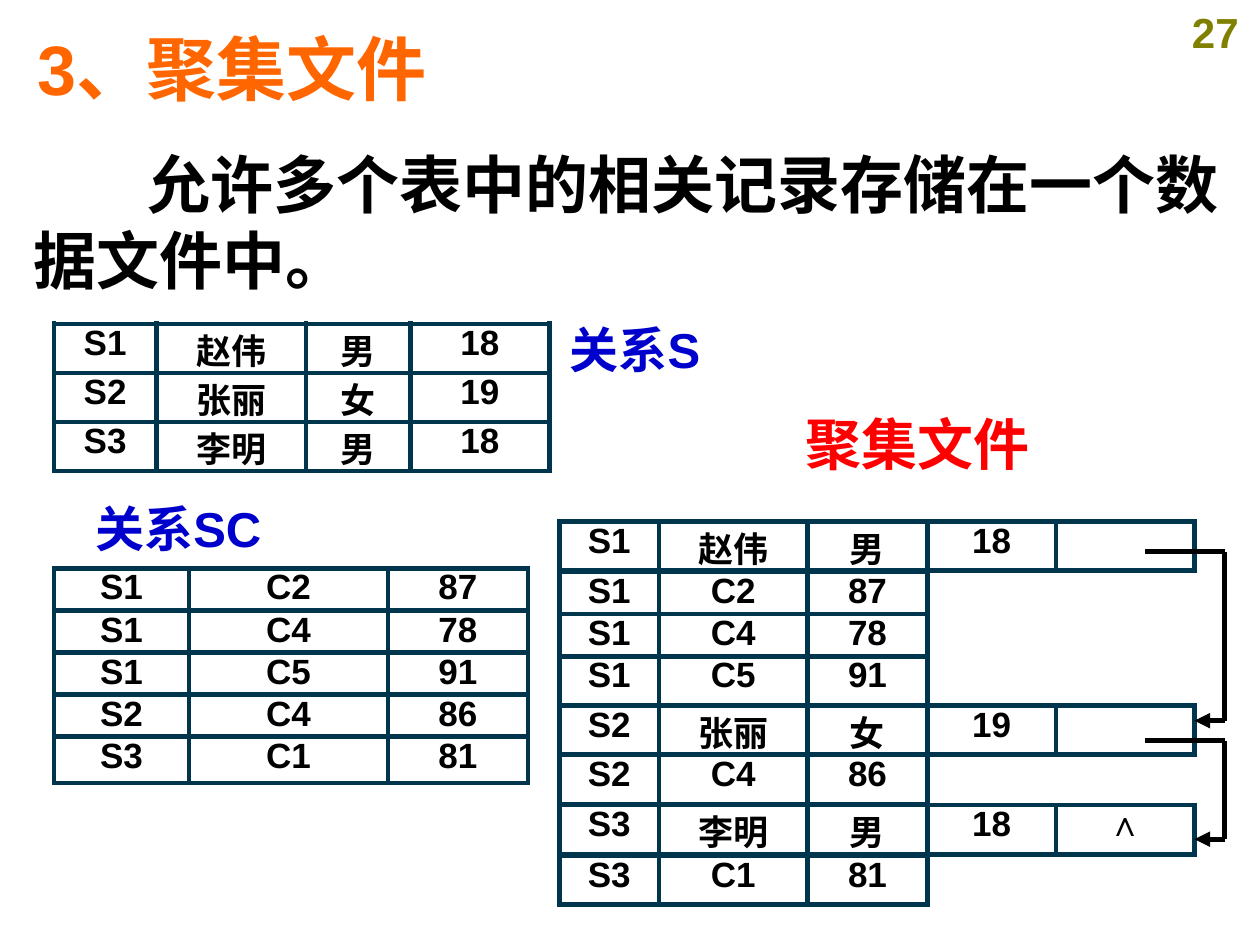
import pptx
import pptx.dml.color
import pptx.enum.shapes
import pptx.enum.text
import pptx.oxml
import pptx.oxml.ns
import pptx.util
from lxml import etree

Inches = pptx.util.Inches
Pt = pptx.util.Pt
RGBColor = pptx.dml.color.RGBColor
ALIGN = pptx.enum.text.PP_ALIGN
ANCHOR = pptx.enum.text.MSO_ANCHOR
qn = pptx.oxml.ns.qn

BLACK = RGBColor(0x00, 0x00, 0x00)
ORANGE = RGBColor(0xFF, 0x66, 0x00)
OLIVE = RGBColor(0x80, 0x80, 0x00)
BLUE = RGBColor(0x00, 0x00, 0xCC)
RED = RGBColor(0xFF, 0x00, 0x00)
BORDER = RGBColor(0x00, 0x35, 0x4E)

ROW = 0.39
SHORT_ROW = 0.32


class SlideBuilder:
    font = "Arial"
    line_width = Pt(3)
    cell_size = 20

    def __init__(self, prs):
        self.slide = prs.slides.add_slide(prs.slide_layouts[5])

    def set_text(self, tf, text, size, color, align, font=None):
        tf.text = text
        p = tf.paragraphs[0]
        p.alignment = align
        for r in p.runs:
            r.font.name = font or self.font
            r.font.size = Pt(size)
            r.font.bold = True
            r.font.color.rgb = color
        return p

    def title(self, text, left, top, width, height):
        sp = self.slide.shapes.title
        sp.left, sp.top = Inches(left), Inches(top)
        sp.width, sp.height = Inches(width), Inches(height)
        sp.text_frame.vertical_anchor = ANCHOR.MIDDLE
        self.set_text(sp.text_frame, text, 40, ORANGE, ALIGN.LEFT)

    def text(self, text, left, top, width, height, size, color,
             align=ALIGN.CENTER, font=None):
        sp = self.slide.shapes.add_textbox(
            Inches(left), Inches(top), Inches(width), Inches(height))
        sp.text_frame.word_wrap = True
        return self.set_text(sp.text_frame, text, size, color, align, font)

    def border(self, cell):
        tc_pr = cell._tc.get_or_add_tcPr()
        for side in ("lnL", "lnR", "lnT", "lnB"):
            ln = etree.SubElement(tc_pr, qn("a:" + side), w=str(self.line_width))
            fill = etree.SubElement(ln, qn("a:solidFill"))
            etree.SubElement(fill, qn("a:srgbClr"), val=str(BORDER))

    def table(self, left, top, widths, heights, rows):
        frame = self.slide.shapes.add_table(
            len(rows), len(widths), Inches(left), Inches(top),
            Inches(sum(widths)), Inches(sum(heights)))
        table = frame.table
        table.first_row = table.horz_banding = False
        for column, width in zip(table.columns, widths):
            column.width = Inches(width)
        for i, (height, row) in enumerate(zip(heights, rows)):
            table.rows[i].height = Inches(height)
            for j, value in enumerate(row):
                cell = table.cell(i, j)
                cell.margin_top = cell.margin_bottom = 0
                self.border(cell)
                cell.fill.background()
                self.set_text(cell.text_frame, value, self.cell_size, BLACK, ALIGN.CENTER)

    def line(self, start, end, arrow=False):
        cx = self.slide.shapes.add_connector(
            pptx.enum.shapes.MSO_CONNECTOR.STRAIGHT,
            *(Inches(v) for v in start + end))
        cx.line.color.rgb = BLACK
        cx.line.width = self.line_width
        if arrow:
            etree.SubElement(cx.line._get_or_add_ln(), qn("a:tailEnd"), type="triangle")
        etree.SubElement(cx._element.spPr, qn("a:effectLst"))

    def pointer(self, top, bottom):
        """Draw a link out of one record, down the right side, into the next."""
        right = 9.72
        self.line((9.09, top), (right, top))
        self.line((right, top), (right, bottom))
        self.line((right, bottom), (9.48, bottom), arrow=True)


def main():
    prs = pptx.Presentation()
    prs.slide_width, prs.slide_height = Inches(10), Inches(7.5)
    s = SlideBuilder(prs)

    s.text("27", 9.29, 0, 0.71, 0.5, 24, OLIVE)
    s.title("3、聚集文件", 0.2, 0.16, 9.47, 0.76)
    p = s.text("允许多个表中的相关记录存储在一个数据文件中。",
               0.17, 1.11, 9.68, 1.46, 36, BLACK, ALIGN.LEFT, "Times New Roman")
    p._p.get_or_add_pPr().set("indent", str(Inches(0.9)))

    students = [("S1", "赵伟", "男", "18"),
                ("S2", "张丽", "女", "19"),
                ("S3", "李明", "男", "18")]
    courses = [("S1", "C2", "87"), ("S1", "C4", "78"), ("S1", "C5", "91"),
               ("S2", "C4", "86"), ("S3", "C1", "81")]
    s.table(0.43, 4.51, [1.07, 1.58, 1.11], [SHORT_ROW] * 4 + [0.37], courses)
    s.table(0.43, 2.57, [0.81, 1.19, 0.83, 1.1], [ROW] * 3, students)

    # Each student record is followed by that student's course records.
    cluster_left = 4.44
    cluster_widths = [0.79, 1.18, 0.95, 1.02, 1.1]
    tops = [(4.14, 4.54), (5.6, 5.99), (6.39, 6.79)]
    links = ["", "", "∧"]
    for student, link, (student_top, course_top) in zip(students, links, tops):
        s.table(cluster_left, student_top, cluster_widths, [ROW], [student + (link,)])
        taken = [c for c in courses if c[0] == student[0]]
        heights = [SHORT_ROW] * (len(taken) - 1) + [ROW]
        s.table(cluster_left, course_top, cluster_widths[:3], heights, taken)

    s.pointer(4.38, 5.72)
    s.pointer(5.88, 6.66)

    s.text("关系SC", 0.59, 3.91, 1.65, 0.57, 28, BLUE)
    s.text("关系S", 4.37, 2.49, 1.34, 0.57, 28, BLUE)
    s.text("聚集文件", 6.18, 3.2, 2.21, 0.63, 32, RED)

    prs.save("out.pptx")


if __name__ == "__main__":
    main()
